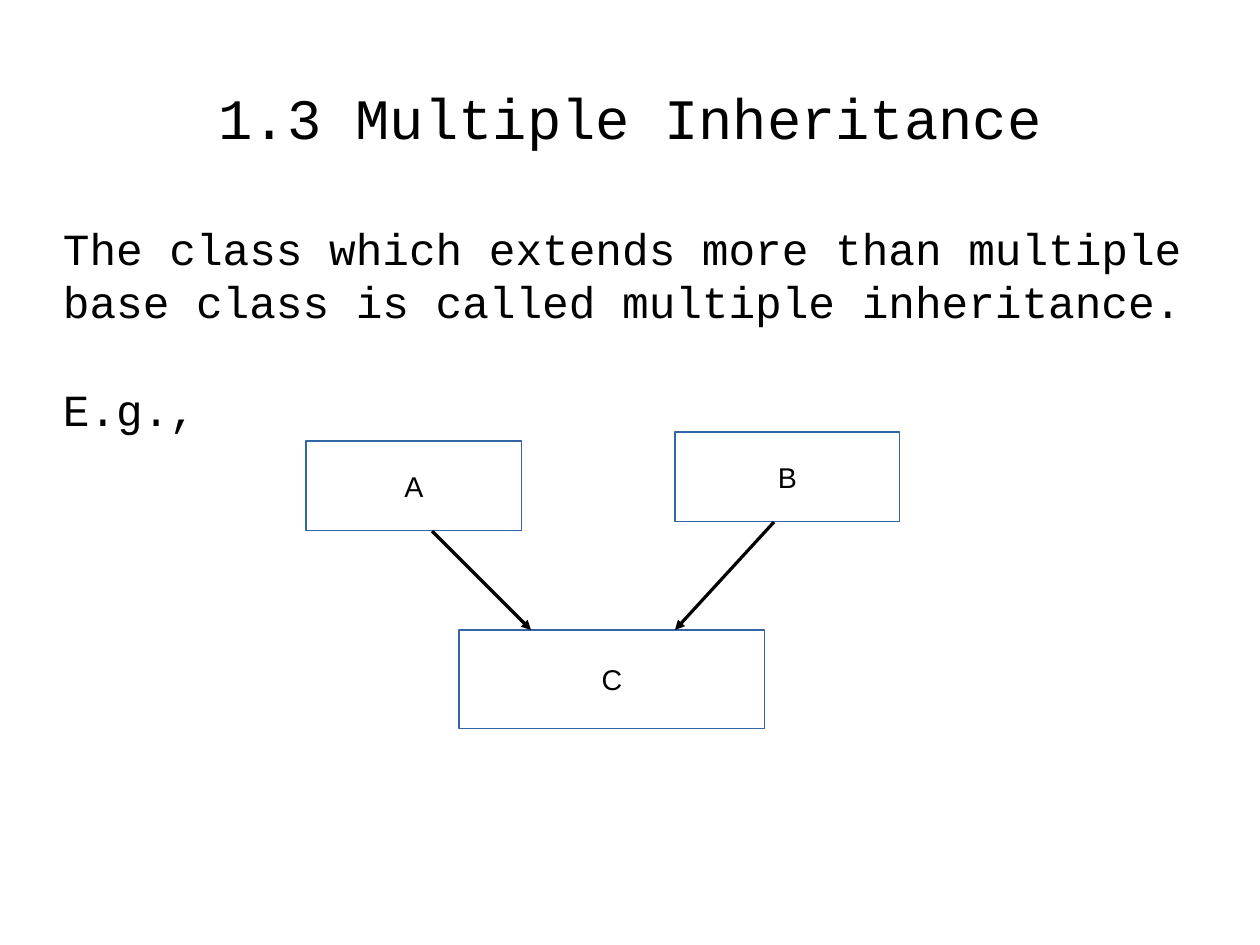
"""Build a slide that explains multiple inheritance with a class diagram."""
from dataclasses import dataclass

import pptx
import pptx.dml.color
import pptx.enum.shapes
import pptx.enum.text
import pptx.oxml
import pptx.oxml.ns
import pptx.util

Cm = pptx.util.Cm
Pt = pptx.util.Pt
RGB = pptx.dml.color.RGBColor
ALIGN = pptx.enum.text.PP_ALIGN
ANCHOR = pptx.enum.text.MSO_ANCHOR


@dataclass(frozen=True)
class Theme:
    ink: RGB = RGB(0x00, 0x00, 0x00)
    paper: RGB = RGB(0xFF, 0xFF, 0xFF)
    border: RGB = RGB(0x34, 0x65, 0xA4)
    text_font: str = "Courier New"
    box_font: str = "Arial"
    title_size: Pt = Pt(36)
    body_size: Pt = Pt(28)
    box_size: Pt = Pt(18)
    body_gap: Pt = Pt(34)


THEME = Theme()


def add_run(p, text, font, size):
    r = p.add_run()
    r.text = text
    r.font.name = font
    r.font.size = size
    r.font.color.rgb = THEME.ink


def add_text(s, at, paragraphs, size, align=ALIGN.LEFT, anchor=ANCHOR.TOP):
    tf = s.shapes.add_textbox(*map(Cm, at)).text_frame
    tf.word_wrap = True
    tf.vertical_anchor = anchor
    tf.margin_left = tf.margin_right = tf.margin_top = tf.margin_bottom = 0
    for i, text in enumerate(paragraphs):
        p = tf.add_paragraph() if i else tf.paragraphs[0]
        p.alignment = align
        if i:
            p.space_before = THEME.body_gap
        add_run(p, text, THEME.text_font, size)


def add_class_box(s, name, at):
    sp = s.shapes.add_shape(pptx.enum.shapes.MSO_SHAPE.RECTANGLE, *map(Cm, at))
    sp.shadow.inherit = False
    sp.fill.solid()
    sp.fill.fore_color.rgb = THEME.paper
    sp.line.color.rgb = THEME.border
    sp.line.width = 0
    tf = sp.text_frame
    tf.word_wrap = False
    tf.vertical_anchor = ANCHOR.MIDDLE
    p = tf.paragraphs[0]
    p.alignment = ALIGN.CENTER
    add_run(p, name, THEME.box_font, THEME.box_size)


def add_arrow(s, start, end):
    straight = pptx.enum.shapes.MSO_CONNECTOR.STRAIGHT
    line = s.shapes.add_connector(straight, *map(Cm, start + end))
    line.line.color.rgb = THEME.ink
    line.line.width = 0
    head = pptx.oxml.parse_xml(
        f'<a:tailEnd {pptx.oxml.ns.nsdecls("a")} type="triangle"/>')
    line.line._get_or_add_ln().append(head)
    effects = pptx.oxml.parse_xml(f'<a:effectLst {pptx.oxml.ns.nsdecls("a")}/>')
    line._element.spPr.append(effects)


def main():
    prs = pptx.Presentation()
    prs.slide_width, prs.slide_height = Cm(28), Cm(21)
    s = prs.slides.add_slide(prs.slide_layouts[6])
    add_text(s, (1.4, 0.84, 25.2, 3.51), ["1.3 Multiple Inheritance"],
             THEME.title_size, ALIGN.CENTER, ANCHOR.MIDDLE)
    add_text(s, (1.4, 4.91, 25.2, 12.18),
             ["The class which extends more than multiple base class "
              "is called multiple inheritance.", "E.g.,"], THEME.body_size)
    add_class_box(s, "A", (6.8, 9.8, 4.8, 2))
    add_class_box(s, "B", (15, 9.6, 5, 2))
    add_class_box(s, "C", (10.2, 14, 6.8, 2.2))
    add_arrow(s, (9.6, 11.8), (11.8, 14))
    add_arrow(s, (17.2, 11.6), (15, 14))
    prs.save("out.pptx")


if __name__ == "__main__":
    main()
